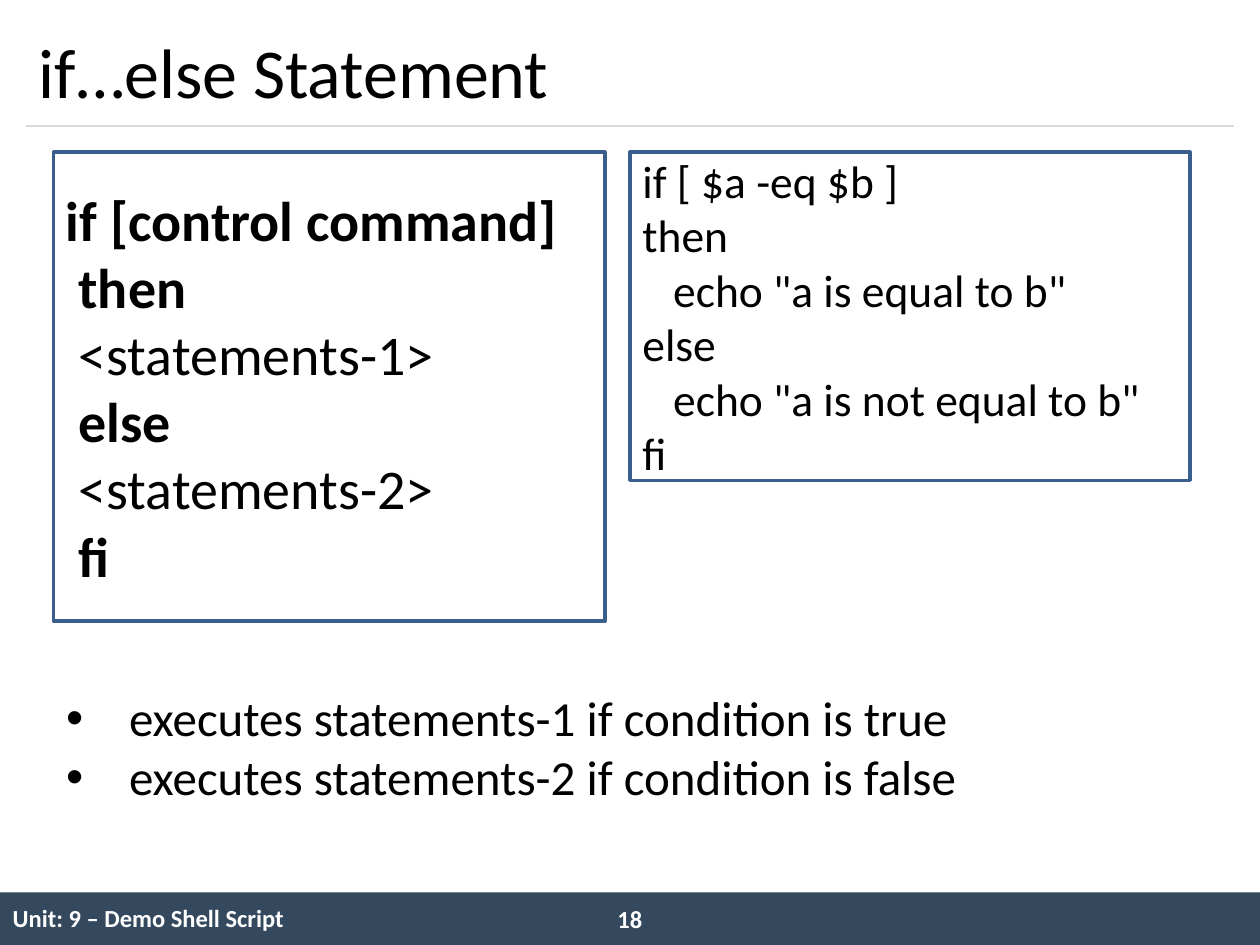
from lxml.etree import SubElement
from pptx import Presentation
from pptx.dml.color import RGBColor
from pptx.enum.shapes import MSO_CONNECTOR, MSO_SHAPE
from pptx.enum.text import MSO_ANCHOR, MSO_AUTO_SIZE, PP_ALIGN
from pptx.oxml.ns import qn
from pptx.util import Pt

COLORS = {
    "black": "000000",
    "white": "FFFFFF",
    "banner": "34495E",
    "rule": "D9D9D9",
    "frame": "3A5F8C",
}
NO_STYLE = "{2D5ABB26-0587-4C30-8999-92F81FD0307C}"


def color(name):
    return RGBColor.from_string(COLORS[name])


def format_text(para, size, color_name="black", bold=False, align=PP_ALIGN.LEFT):
    para.alignment = align
    para.space_before = Pt(0)
    for span in para.runs:
        span.font.name = "Calibri"
        span.font.size = Pt(size)
        span.font.bold = bold
        span.font.color.rgb = color(color_name)


deck = Presentation()
deck.slide_width, deck.slide_height = Pt(720), Pt(540)
page = deck.slides.add_slide(deck.slide_layouts[1])

# Footer banner
banner = page.shapes.add_shape(MSO_SHAPE.RECTANGLE, Pt(0), Pt(510), Pt(720), Pt(30))
banner.shadow.inherit = False
banner.fill.solid()
banner.fill.fore_color.rgb = color("banner")
banner.line.fill.background()

# Footer table with the unit name
footer = page.shapes.add_table(1, 3, Pt(0), Pt(510), Pt(720), Pt(30)).table
footer.first_row = footer.horz_banding = False
footer._tbl.tblPr.find(qn("a:tableStyleId")).text = NO_STYLE
for column, width in zip(footer.columns, (366, 48, 306)):
    column.width = Pt(width)
for cell in footer.iter_cells():
    cell.fill.background()
unit = footer.cell(0, 0)
unit.text_frame.text = "Unit: 9 – Demo Shell Script"
unit.vertical_anchor = MSO_ANCHOR.MIDDLE
format_text(unit.text_frame.paragraphs[0], 14, "white", bold=True)

# Page number
number = page.shapes.add_textbox(Pt(339), Pt(513), Pt(42), Pt(24))
number.text_frame.word_wrap = True
number.text_frame.text = "18"
format_text(number.text_frame.paragraphs[0], 14, "white", True, PP_ALIGN.CENTER)

# Title and the rule below it
title = page.shapes.title
title.left, title.top, title.width, title.height = Pt(15), Pt(9), Pt(690), Pt(63)
title.text_frame.text = "if…else Statement"
title.text_frame.vertical_anchor = MSO_ANCHOR.MIDDLE
title.text_frame.auto_size = MSO_AUTO_SIZE.NONE
format_text(title.text_frame.paragraphs[0], 40)

rule = page.shapes.add_connector(MSO_CONNECTOR.STRAIGHT, Pt(15), Pt(72), Pt(705), Pt(72))
rule.line.color.rgb = color("rule")
rule.line.width = Pt(0.75)
SubElement(rule._element.spPr, qn("a:effectLst"))

# Syntax and example boxes: each line is (text, indent, bold)
syntax = [
    ("if [control command]", 0, True),
    ("then", 7.2, True),
    ("<statements-1>", 7.2, False),
    ("else", 7.2, True),
    ("<statements-2>", 7.2, False),
    ("fi", 7.2, True),
]
example = [
    ("if [ $a -eq $b ]", 0, False),
    ("then", 0, False),
    ('echo "a is equal to b"', 17.6, False),
    ("else", 0, False),
    ('echo "a is not equal to b"', 17.6, False),
    ("fi", 0, False),
]
for left, width, height, size, lines in (
    (30.6, 315, 268, 32, syntax),
    (360, 320, 187.5, 26, example),
):
    box = page.shapes.add_shape(
        MSO_SHAPE.RECTANGLE, Pt(left), Pt(87), Pt(width), Pt(height)
    )
    box.shadow.inherit = False
    box.fill.background()
    box.line.color.rgb = color("frame")
    box.line.width = Pt(2)
    frame = box.text_frame
    frame.word_wrap = True
    frame.vertical_anchor = MSO_ANCHOR.MIDDLE
    frame.text = "\n".join(text for text, indent, bold in lines)
    for para, (text, indent, bold) in zip(frame.paragraphs, lines):
        format_text(para, size, bold=bold)
        para._p.get_or_add_pPr().set("marL", str(Pt(indent)))

# Explanation list
body = page.placeholders[1]
body.left, body.top, body.width, body.height = Pt(30.6), Pt(389.5), Pt(551), Pt(75)
body.text_frame.auto_size = MSO_AUTO_SIZE.NONE
body.text_frame.text = (
    "executes statements-1 if condition is true\n"
    "executes statements-2 if condition is false"
)
for para in body.text_frame.paragraphs:
    format_text(para, 28)
    properties = para._p.get_or_add_pPr()
    properties.set("marL", str(Pt(36)))
    properties.set("indent", str(-Pt(36)))
    SubElement(properties, qn("a:buFont"), typeface="Arial")
    SubElement(properties, qn("a:buChar"), char="•")

deck.save("out.pptx")
